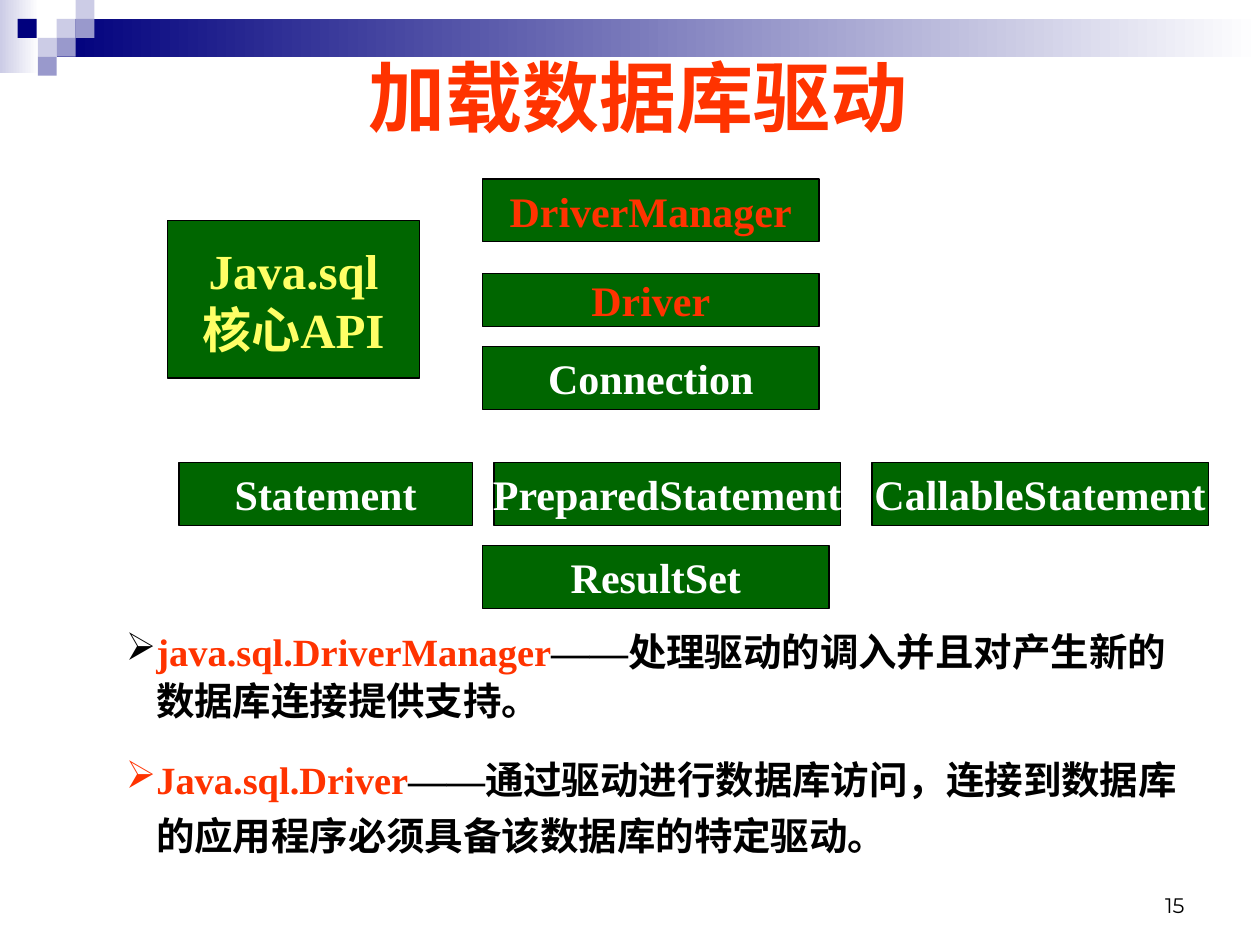
from dataclasses import dataclass

from lxml import etree
from pptx import Presentation
from pptx.dml.color import RGBColor
from pptx.enum import shapes, text
from pptx.oxml.ns import qn
from pptx.util import Inches, Pt


@dataclass(frozen=True)
class Theme:
    navy: str = "00007D"
    violet: str = "9999CC"
    lilac: str = "CCCCE6"
    white: str = "FFFFFF"
    black: str = "000000"
    green: str = "006600"
    red: str = "FF3300"
    yellow: str = "FFFF66"
    serif: str = "Times New Roman"
    title: int = 44
    api: int = 28
    box: int = 24
    body: int = 22
    number: int = 12


T = Theme()
rgb = RGBColor.from_string

prs = Presentation()
prs.slide_width, prs.slide_height = Inches(10), Inches(7.5)
s = prs.slides.add_slide(prs.slide_layouts[6])


def add_rect(x, y, w, h, *colors):
    """Add a borderless rectangle; two colours make a left-to-right gradient."""
    sp = s.shapes.add_shape(shapes.MSO_SHAPE.RECTANGLE,
                            Inches(x), Inches(y), Inches(w), Inches(h))
    sp.shadow.inherit = False
    sp.line.fill.background()
    if len(colors) == 1:
        sp.fill.solid()
        sp.fill.fore_color.rgb = rgb(colors[0])
    else:
        sp.fill.gradient()
        sp.fill.gradient_angle = 0
        for stop, position, color in zip(sp.fill.gradient_stops, (0, 1), colors):
            stop.position = position
            stop.color.rgb = rgb(color)
    return sp


def add_run(p, words, size, color, font=T.serif, bold=True):
    r = p.add_run()
    r.text = words
    r.font.size, r.font.name, r.font.bold = Pt(size), font, bold
    r.font.color.rgb = rgb(color)


# Header band and mosaic
add_rect(0, 0, 0.31, 0.58, T.lilac, T.white)
add_rect(0.45, 0.15, 9.55, 0.3, T.navy, T.white)
TILE = 0.15
for x, y, color in [(0.45, 0.15, T.lilac), (0.6, 0, T.lilac), (0.6, 0.15, T.violet),
                    (0.3, 0.3, T.lilac), (0.14, 0.15, T.navy),
                    (0.45, 0.3, T.violet), (0.3, 0.45, T.violet)]:
    add_rect(x, y, TILE, TILE, color)

# Slide number and title
for x, y, w, h, anchor, align, words, style in [
    (7.17, 6.83, 2.33, 0.5, text.MSO_ANCHOR.BOTTOM, text.PP_ALIGN.RIGHT,
     "15", (T.number, T.black, "Montserrat", False)),
    (2.72, 0.36, 4.69, 0.9, text.MSO_ANCHOR.MIDDLE, text.PP_ALIGN.CENTER,
     "加载数据库驱动", (T.title, T.red, "Arial", True)),
]:
    tf = s.shapes.add_textbox(Inches(x), Inches(y), Inches(w), Inches(h)).text_frame
    tf.word_wrap = True
    tf.vertical_anchor = anchor
    p = tf.paragraphs[0]
    p.alignment = align
    if words != "15":
        p.line_spacing = 0.9
    add_run(p, words, *style)

# Descriptions of the two driver types
tf = s.shapes.add_textbox(Inches(0.9), Inches(4.92), Inches(8.6), Inches(1.94)).text_frame
tf.word_wrap = True
descriptions = [
    ("java.sql.DriverManager", "——处理驱动的调入并且对产生新的数据库连接提供支持。",
     T.black, 1.05, 0),
    ("Java.sql.Driver", "——通过驱动进行数据库访问，连接到数据库的应用程序必须具备该数据库的特定驱动。",
     T.red, 1.2, 13.8),
]
for i, (name, detail, bullet_color, spacing, before) in enumerate(descriptions):
    p = tf.add_paragraph() if i else tf.paragraphs[0]
    pPr = p._p.get_or_add_pPr()
    pPr.set("marL", str(Inches(0.24)))
    pPr.set("indent", str(-Inches(0.24)))
    bullet = etree.SubElement(pPr, qn("a:buClr"))
    etree.SubElement(bullet, qn("a:srgbClr"), val=bullet_color)
    etree.SubElement(pPr, qn("a:buChar"), char="➢")
    p.line_spacing = spacing
    if before:
        p.space_before = Pt(before)
    add_run(p, name, T.body, T.red)
    add_run(p, detail, T.body, T.black)

# JDBC classes
boxes = [
    (3.83, 1.42, 2.67, 0.5, ["DriverManager"], T.box, T.red),
    (3.83, 2.17, 2.67, 0.42, ["Driver"], T.box, T.red),
    (3.83, 2.75, 2.67, 0.5, ["Connection"], T.box, T.white),
    (3.92, 3.67, 2.75, 0.5, ["PreparedStatement"], T.box, T.white),
    (1.42, 3.67, 2.33, 0.5, ["Statement"], T.box, T.white),
    (6.92, 3.67, 2.67, 0.5, ["CallableStatement"], T.box, T.white),
    (3.83, 4.33, 2.75, 0.5, ["ResultSet"], T.box, T.white),
    (1.33, 1.75, 2, 1.25, ["Java.sql", "核心API"], T.api, T.yellow),
]
for x, y, w, h, lines, size, color in boxes:
    sp = add_rect(x, y, w, h, T.green)
    sp.line.color.rgb = rgb(T.black)
    sp.line.width = Pt(0.75)
    tf = sp.text_frame
    tf.word_wrap = False
    tf.vertical_anchor = text.MSO_ANCHOR.MIDDLE
    for i, line in enumerate(lines):
        p = tf.add_paragraph() if i else tf.paragraphs[0]
        p.alignment = text.PP_ALIGN.CENTER
        add_run(p, line, size, color)

prs.save("out.pptx")
